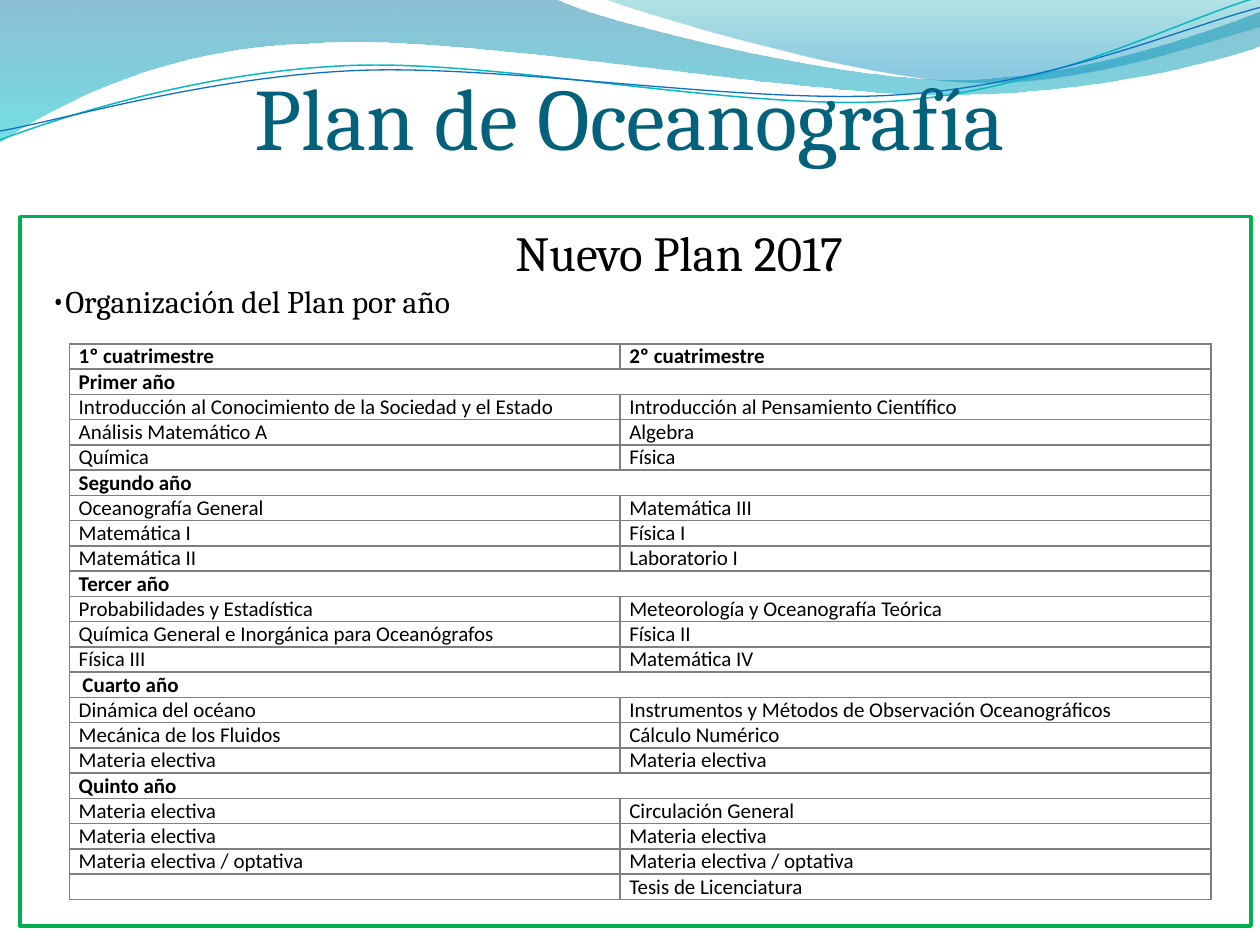
import math

from lxml import etree
from pptx import Presentation
from pptx import util as u
from pptx.dml.color import RGBColor
from pptx.enum import shapes, text
from pptx.oxml import ns

Inches, Pt = u.Inches, u.Pt

BLACK = RGBColor(0x00, 0x00, 0x00)
TITLE_BLUE = RGBColor(0x04, 0x61, 0x7B)
FRAME_GREEN = RGBColor(0x00, 0xB0, 0x50)
LINE_CYAN = RGBColor(0x0A, 0xB8, 0xBF)
LINE_BLUE = RGBColor(0x0F, 0x6F, 0xC6)
DEEP_BLUE = RGBColor(0x00, 0x74, 0xA1)
AQUA = RGBColor(0x00, 0xC6, 0xCF)
TEAL = RGBColor(0x00, 0xA1, 0xA9)
SKY_BLUE = RGBColor(0x00, 0x8B, 0xBF)
BORDER_GREY = "7F7F7F"

RIPPLE_TILT = -2.7

# Each outline is a start point, then lines (2 numbers) and curves (6 numbers).
WAVES = [
    ([(0, 0), (4.4, -0.01), (4.76, 0.17, 6.64, 0.63, 7.58, 0.63),
      (8.53, 0.63, 9.58, 0.26, 10, 0.09), (10.01, 0.36),
      (9.83, 0.44, 8.7, 0.76, 7.46, 0.75), (6.22, 0.75, 3.82, 0.28, 2.57, 0.34),
      (1.29, 0.36, 0.46, 0.83, -0.01, 1.13), (0, 0)],
     [(0, DEEP_BLUE, 45), (1, AQUA, 55)]),
    ([(4.79, -0.01), (5.09, 0.11, 6.82, 0.62, 7.69, 0.65),
      (8.56, 0.69, 9.61, 0.32, 10, 0.21), (10, 0), (4.79, -0.01)],
     [(0, TEAL, 30), (0.8, SKY_BLUE, 45)]),
]
RIPPLES = [
    ([(0, 1.11), (0.48, 0.93, 1.58, 0.57, 2.77, 0.52),
      (3.95, 0.47, 5.93, 0.89, 7.13, 0.8), (8.33, 0.71, 9.38, 0.15, 9.98, -0.02)],
     (4.99, 0.58), LINE_CYAN, 0.85),
    ([(0, 1.04), (0.47, 0.96, 1.64, 0.61, 2.83, 0.56),
      (4.03, 0.51, 5.97, 0.84, 7.17, 0.75), (8.36, 0.67, 9.41, 0.21, 10, 0.06)],
     (5, 0.59), LINE_BLUE, 0.75),
]

HEADERS = ("1º cuatrimestre", "2º cuatrimestre")
ELECTIVE = "Materia electiva"
OPTIONAL = "Materia electiva / optativa"
YEARS = {
    "Primer año": [
        ("Introducción al Conocimiento de la Sociedad y el Estado ",
         "Introducción al Pensamiento Científico"),
        ("Análisis Matemático A", "Algebra "),
        ("Química", "Física")],
    "Segundo año": [
        ("Oceanografía General", "Matemática III"),
        ("Matemática I", "Física I"),
        ("Matemática II", "Laboratorio I")],
    "Tercer año": [
        ("Probabilidades y Estadística ", "Meteorología y Oceanografía Teórica"),
        ("Química General e Inorgánica para Oceanógrafos", "Física II"),
        ("Física III", "Matemática IV")],
    "Cuarto año": [
        ("Dinámica del océano",
         "Instrumentos y Métodos de Observación Oceanográficos"),
        ("Mecánica de los Fluidos", "Cálculo Numérico"),
        (ELECTIVE, ELECTIVE)],
    "Quinto año": [
        (ELECTIVE, "Circulación General"),
        (ELECTIVE, ELECTIVE),
        (OPTIONAL, OPTIONAL),
        ("", "Tesis de Licenciatura")],
}
YEAR_INDENTS = {"Cuarto año": Inches(0.03)}


def set_all(target, values):
    """Set every attribute in a dict of format values."""
    for name, value in values.items():
        setattr(target, name, value)


def write(para, wording, size, font, color=BLACK, bold=False):
    """Add one formatted run to a paragraph."""
    span = para.add_run()
    span.text = wording
    set_all(span.font, {"size": Pt(size), "name": font, "bold": bold})
    span.font.color.rgb = color


def turn(point, center, degrees):
    """Rotate a point clockwise about a center."""
    angle = math.radians(degrees)
    x, y = point[0] - center[0], point[1] - center[1]
    return (center[0] + x * math.cos(angle) - y * math.sin(angle),
            center[1] + x * math.sin(angle) + y * math.cos(angle))


def add_outline(page, outline, left, top, close, center=(0, 0), tilt=0):
    """Draw lines and cubic curves as one freeform, tilted about a center."""
    points = [turn(step[i:i + 2], center, -tilt)
              for step in outline for i in range(0, len(step), 2)]
    points = [(left + Inches(x), top + Inches(y)) for x, y in points]
    builder = page.shapes.build_freeform(*points[0], scale=1.0)
    builder.add_line_segments(points[1:], close=close)
    shape = builder.convert_to_shape()
    shape.shadow.inherit = False
    shape.rotation = tilt
    segments = iter(list(shape._element.iter(ns.qn("a:lnTo"))))
    for step in outline[1:]:
        first = next(segments)
        if len(step) == 6:
            first.tag = ns.qn("a:cubicBezTo")
            for _ in range(2):
                segment = next(segments)
                first.append(segment[0])
                segment.getparent().remove(segment)
    return shape


def add_waves(page, left, top):
    """Draw the translucent waves and the thin ripples of the header."""
    for outline, stops in WAVES:
        wave = add_outline(page, outline, left, top, True)
        wave.line.fill.background()
        wave.fill.gradient()
        wave.fill.gradient_angle = 270
        for stop, (position, color, _) in zip(wave.fill.gradient_stops, stops):
            stop.position = position
            stop.color.rgb = color
        for node, (_, _, opacity) in zip(wave._element.iter(ns.qn("a:srgbClr")), stops):
            etree.SubElement(node, ns.qn("a:alpha"), val=str(opacity * 1000))
    for outline, center, color, width in RIPPLES:
        ripple = add_outline(page, outline, left, top, False, center, RIPPLE_TILT)
        ripple.fill.background()
        ripple.line.color.rgb = color
        ripple.line.width = Pt(width)


def place_title(page, left, top, width, height):
    """Move and format the title placeholder, in front of the waves."""
    title = page.shapes.title
    set_all(title, {"left": left, "top": top, "width": width, "height": height})
    set_all(title.text_frame, {
        "margin_left": 0, "margin_right": 0, "margin_top": Inches(0.05),
        "margin_bottom": 0, "word_wrap": True,
        "vertical_anchor": text.MSO_ANCHOR.BOTTOM,
        "auto_size": text.MSO_AUTO_SIZE.NONE})
    para = title.text_frame.paragraphs[0]
    para.alignment = text.PP_ALIGN.CENTER
    write(para, "Plan de Oceanografía", 50, "Cambria", TITLE_BLUE)
    page.shapes._spTree.append(title._element)


def add_line_of_text(page, wording, size, bounds, values):
    """Add a text box with one paragraph and return the paragraph."""
    box = page.shapes.add_textbox(*bounds)
    box.text_frame.word_wrap = True
    para = box.text_frame.paragraphs[0]
    set_all(para, values)
    write(para, wording, size, "Cambria")
    return para


def fill_cell(cell, wording, bold=False, indent=0):
    """Write one table cell and draw its borders."""
    set_all(cell, {"margin_left": Pt(5.4), "margin_right": Pt(5.4),
                   "margin_top": 0, "margin_bottom": 0})
    cell.fill.background()
    para = cell.text_frame.paragraphs[0]
    if wording:
        write(para, wording, 12, "Calibri", bold=bold)
    else:
        etree.SubElement(para._p, ns.qn("a:endParaRPr"), sz="1200")
    if indent:
        para._p.get_or_add_pPr().set("marL", str(indent))
    props = cell._tc.get_or_add_tcPr()
    for i, side in enumerate(("lnL", "lnR", "lnT", "lnB")):
        border = etree.Element(ns.qn("a:" + side), w=str(Pt(1)))
        solid = etree.SubElement(border, ns.qn("a:solidFill"))
        etree.SubElement(solid, ns.qn("a:srgbClr"), val=BORDER_GREY)
        props.insert(i, border)


def add_plan_table(page, left, top, widths, row_height):
    """Add the table of subjects, with a merged row opening each year."""
    rows = [HEADERS]
    for year, subjects in YEARS.items():
        rows += [(year, ""), *subjects]
    table = page.shapes.add_table(len(rows), len(widths), left, top, sum(widths),
                                  row_height * len(rows)).table
    set_all(table, {"first_row": False, "horz_banding": False})
    for column, width in zip(table.columns, widths):
        column.width = width
    for r, row in enumerate(rows):
        for c, wording in enumerate(row):
            fill_cell(table.cell(r, c), wording, r == 0 or row[0] in YEARS,
                      YEAR_INDENTS.get(wording, 0))
        if row[0] in YEARS:
            table.cell(r, 0).merge(table.cell(r, 1))


def add_plan_panel(page, left, top, width, height):
    """Add the framed panel with its heading, bullet line and table."""
    frame = page.shapes.add_shape(shapes.MSO_SHAPE.RECTANGLE, left, top, width, height)
    frame.shadow.inherit = False
    frame.fill.background()
    frame.line.color.rgb = FRAME_GREEN
    frame.line.width = Pt(2)
    add_line_of_text(page, "Nuevo Plan 2017", 28,
                     (left + Inches(0.62), top, Inches(9.22), Inches(1.25)),
                     {"alignment": text.PP_ALIGN.CENTER, "space_before": Pt(5.6)})
    para = add_line_of_text(page, "Organización del Plan por año", 18,
                            (left + Inches(0.15), top + Inches(0.47),
                             Inches(9.61), Inches(0.4)),
                            {"space_before": Pt(6), "space_after": Pt(6)})
    props = para._p.get_or_add_pPr()
    etree.SubElement(props, ns.qn("a:buFont"), typeface="Cambria")
    etree.SubElement(props, ns.qn("a:buChar"), char="•")
    add_plan_table(page, left + Inches(0.39), top + Inches(1.01),
                   (Inches(4.37), Inches(4.69)), Inches(0.2))


deck = Presentation()
set_all(deck, {"slide_width": Inches(10), "slide_height": Inches(7.5)})
page = deck.slides.add_slide(deck.slide_layouts[5])
add_waves(page, 0, 0)
add_plan_panel(page, Inches(0.16), Inches(1.72), Inches(9.77), Inches(5.63))
place_title(page, 0, 0, deck.slide_width, Inches(1.33))
deck.save("out.pptx")
